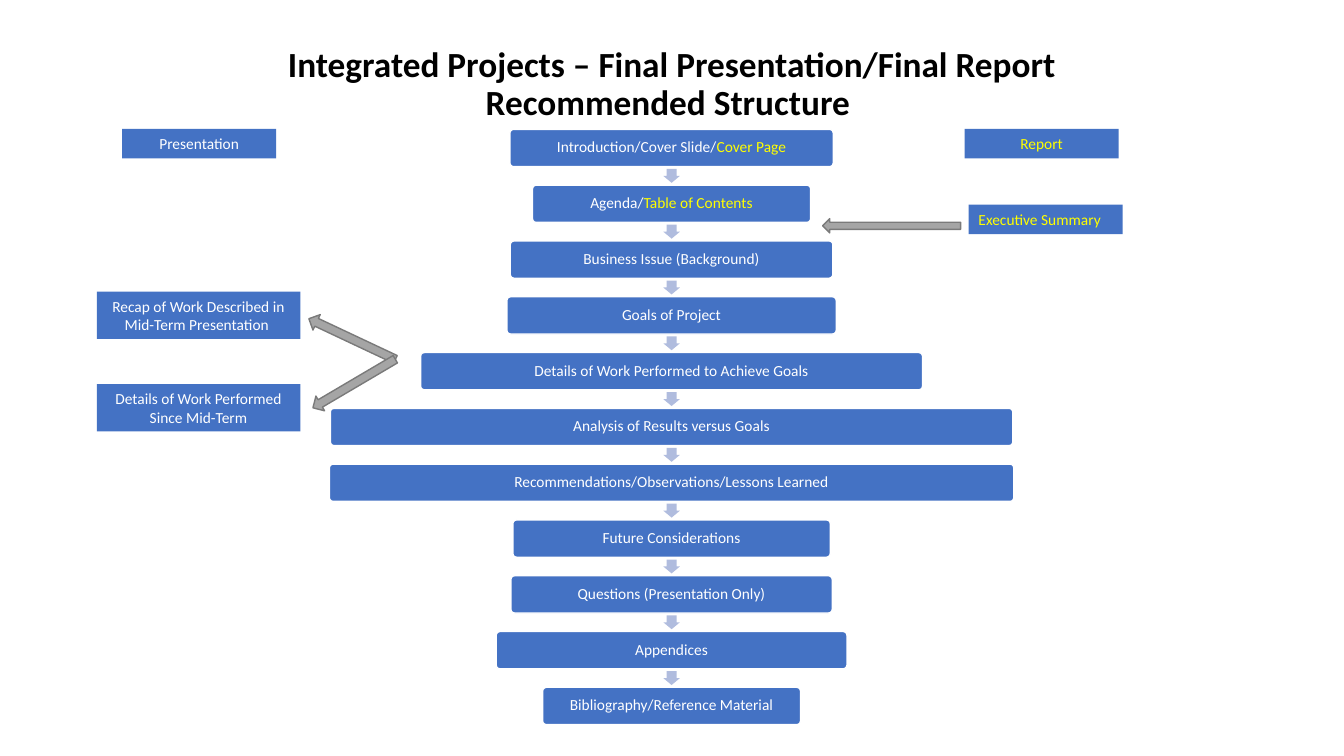
from dataclasses import dataclass

from pptx import Presentation
from pptx.dml.color import RGBColor
from pptx.enum.shapes import MSO_SHAPE as Preset
from pptx.enum.text import MSO_ANCHOR as Anchor, MSO_AUTO_SIZE as AutoSize, PP_ALIGN as Align
from pptx.util import Cm, Pt


@dataclass(frozen=True)
class Theme:
    font: str = "Calibri"
    title_size: float = 25.2
    body_size: float = 11
    black: str = "000000"
    white: str = "FFFFFF"
    report: str = "FFFF00"
    box: str = "4472C4"
    step: str = "B0BCDE"
    arrow: str = "A5A5A5"
    arrow_edge: str = "7A7A7A"


@dataclass(frozen=True)
class Box:
    """A rectangle in centimetres."""
    left: float
    top: float
    width: float
    height: float

    def inner(self, left, top, width, height):
        return Box(self.left + left, self.top + top, width, height)

    def lengths(self):
        return [Cm(side) for side in (self.left, self.top, self.width, self.height)]


THEME = Theme()

# Each step: box width in cm, then its (text, colour) spans.
STEPS = [
    (8.15, [("Introduction/Cover Slide/", THEME.white), ("Cover Page", THEME.report)]),
    (7.01, [("Agenda/", THEME.white), ("Table of Contents", THEME.report)]),
    (8.13, [("Business Issue (Background)", THEME.white)]),
    (8.3, [("Goals of Project", THEME.white)]),
    (12.65, [("Details of Work Performed to Achieve Goals", THEME.white)]),
    (17.2, [("Analysis of Results versus Goals", THEME.white)]),
    (17.25, [("Recommendations/Observations/Lessons Learned", THEME.white)]),
    (8, [("Future Considerations", THEME.white)]),
    (8.1, [("Questions (Presentation Only)", THEME.white)]),
    (8.84, [("Appendices", THEME.white)]),
    (6.5, [("Bibliography/Reference Material", THEME.white)]),
]


def write(frame, spans, size=THEME.body_size, bold=False, align=Align.CENTER,
          spacing=1.0, inset=None, fit=AutoSize.NONE):
    """Fill a text frame with (text, colour) spans; a newline is a line break."""
    frame.word_wrap = True
    frame.auto_size = fit
    frame.vertical_anchor = Anchor.MIDDLE
    if inset is not None:
        frame.margin_left = frame.margin_right = Cm(inset)
        frame.margin_top = frame.margin_bottom = Cm(inset)
    para = frame.paragraphs[0]
    para.alignment = align
    para.line_spacing = spacing
    for text, color in spans:
        for number, line in enumerate(text.split("\n")):
            if number:
                para.add_line_break()
            span = para.add_run()
            span.text = line
            span.font.name = THEME.font
            span.font.size = Pt(size)
            span.font.bold = bold
            span.font.color.rgb = RGBColor.from_string(color)


def add_preset(page, preset, box, fill, edge=None, rotation=0):
    shape = page.shapes.add_shape(preset, *box.lengths())
    shape.shadow.inherit = False
    shape.rotation = rotation
    shape.fill.solid()
    shape.fill.fore_color.rgb = RGBColor.from_string(fill)
    if edge:
        shape.line.color.rgb = RGBColor.from_string(edge)
        shape.line.width = Pt(1)
    else:
        shape.line.fill.background()
    return shape


def add_label(page, box, text, color=THEME.white, align=Align.CENTER):
    label = add_preset(page, Preset.RECTANGLE, box, THEME.box)
    write(label.text_frame, [(text, color)], align=align, fit=AutoSize.SHAPE_TO_FIT_TEXT)


def add_pointer(page, box, rotation=0):
    add_preset(page, Preset.LEFT_ARROW, box, THEME.arrow, THEME.arrow_edge, rotation)


def add_title(page, box, text):
    title = page.shapes.title
    title.left, title.top, title.width, title.height = box.lengths()
    write(title.text_frame, [(text, THEME.black)], size=THEME.title_size, bold=True, spacing=0.9)


def add_flow(page, box):
    """Stack the centred steps evenly, with an arrow in each gap."""
    step_height, arrow_length, arrow_width = 0.94, 0.35, 0.42
    pitch = (box.height - step_height) / (len(STEPS) - 1)
    for row, (width, spans) in enumerate(STEPS):
        top = row * pitch
        if row:
            middle = top - (pitch - step_height) / 2
            place = box.inner((box.width - arrow_length) / 2, middle - arrow_width / 2,
                              arrow_length, arrow_width)
            arrow = add_preset(page, Preset.RIGHT_ARROW, place, THEME.step, rotation=90)
            arrow.adjustments[0] = 0.6
        place = box.inner((box.width - width) / 2, top, width, step_height)
        step = add_preset(page, Preset.ROUNDED_RECTANGLE, place, THEME.box, THEME.white)
        step.adjustments[0] = 0.1
        write(step.text_frame, spans, spacing=0.9, inset=0.13)


def add_presentation_side(page, box):
    add_label(page, box.inner(0.64, 0, 3.88, 0.74), "Presentation")
    add_label(page, box.inner(0, 4.1, 5.13, 1.19),
              "Recap of Work Described in Mid-Term Presentation ")
    add_label(page, box.inner(0, 6.43, 5.13, 1.19), "Details of Work Performed Since Mid-Term")
    add_pointer(page, box.inner(5.23, 5.08, 2.41, 0.43), rotation=25.2)
    add_pointer(page, box.inner(5.28, 6.2, 2.41, 0.43), rotation=329.5)


def add_report_side(page, box):
    add_label(page, box.inner(3.58, 0, 3.88, 0.74), "Report", THEME.report)
    add_label(page, box.inner(3.68, 1.91, 3.88, 0.74), "Executive Summary",
              THEME.report, Align.LEFT)
    add_pointer(page, box.inner(0, 2.26, 3.48, 0.36))


def main():
    deck = Presentation()
    deck.slide_width, deck.slide_height = Cm(33.87), Cm(19.05)
    page = deck.slides.add_slide(deck.slide_layouts[5])
    add_title(page, Box(2.33, 1.01, 29.21, 2.26),
              "Integrated Projects – Final Presentation/Final Report\nRecommended Structure ")
    add_flow(page, Box(8.3, 3.26, 17.25, 15))
    add_presentation_side(page, Box(2.44, 3.25, 7.7, 7.62))
    add_report_side(page, Box(20.73, 3.25, 7.56, 2.65))
    deck.save("out.pptx")


if __name__ == "__main__":
    main()
